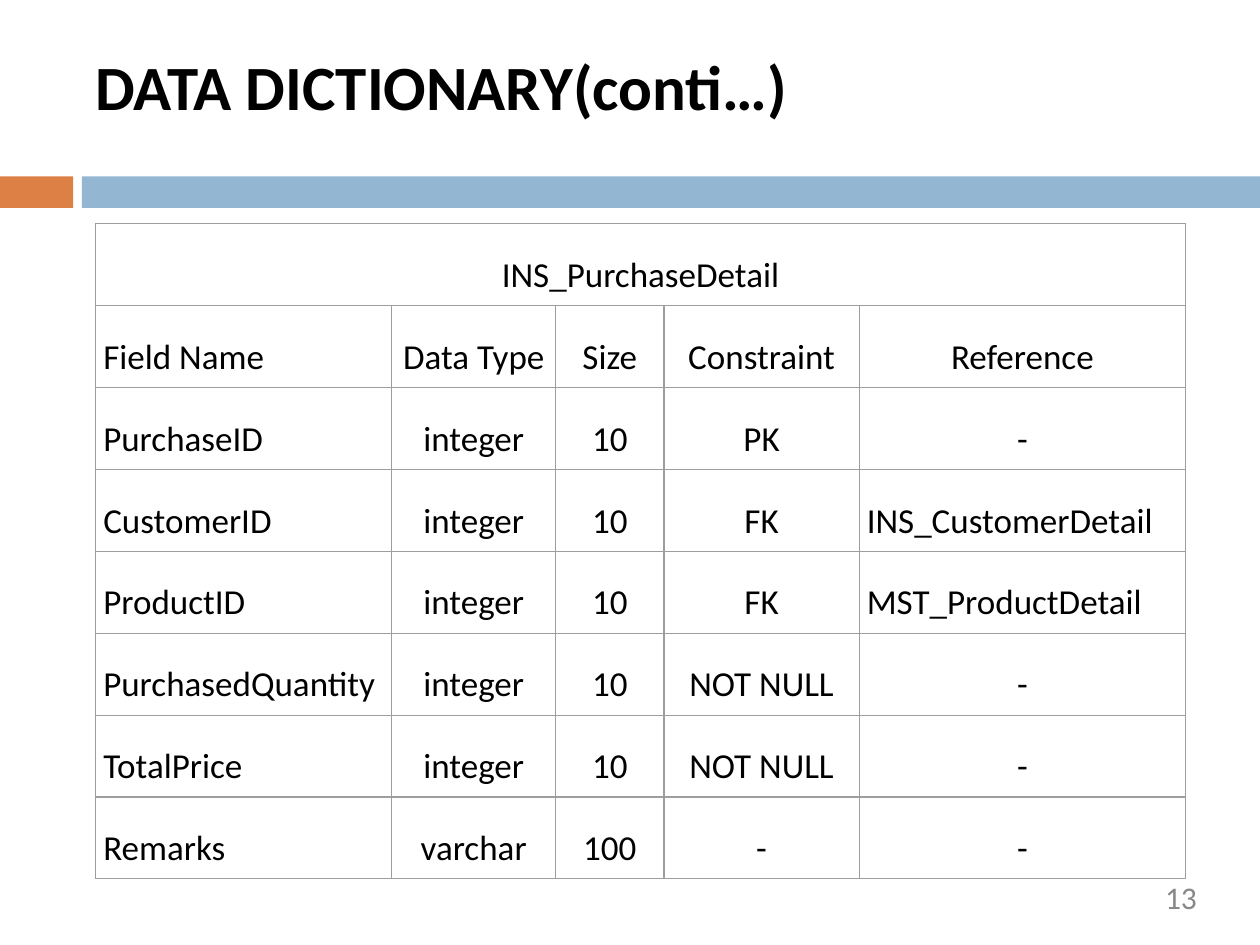
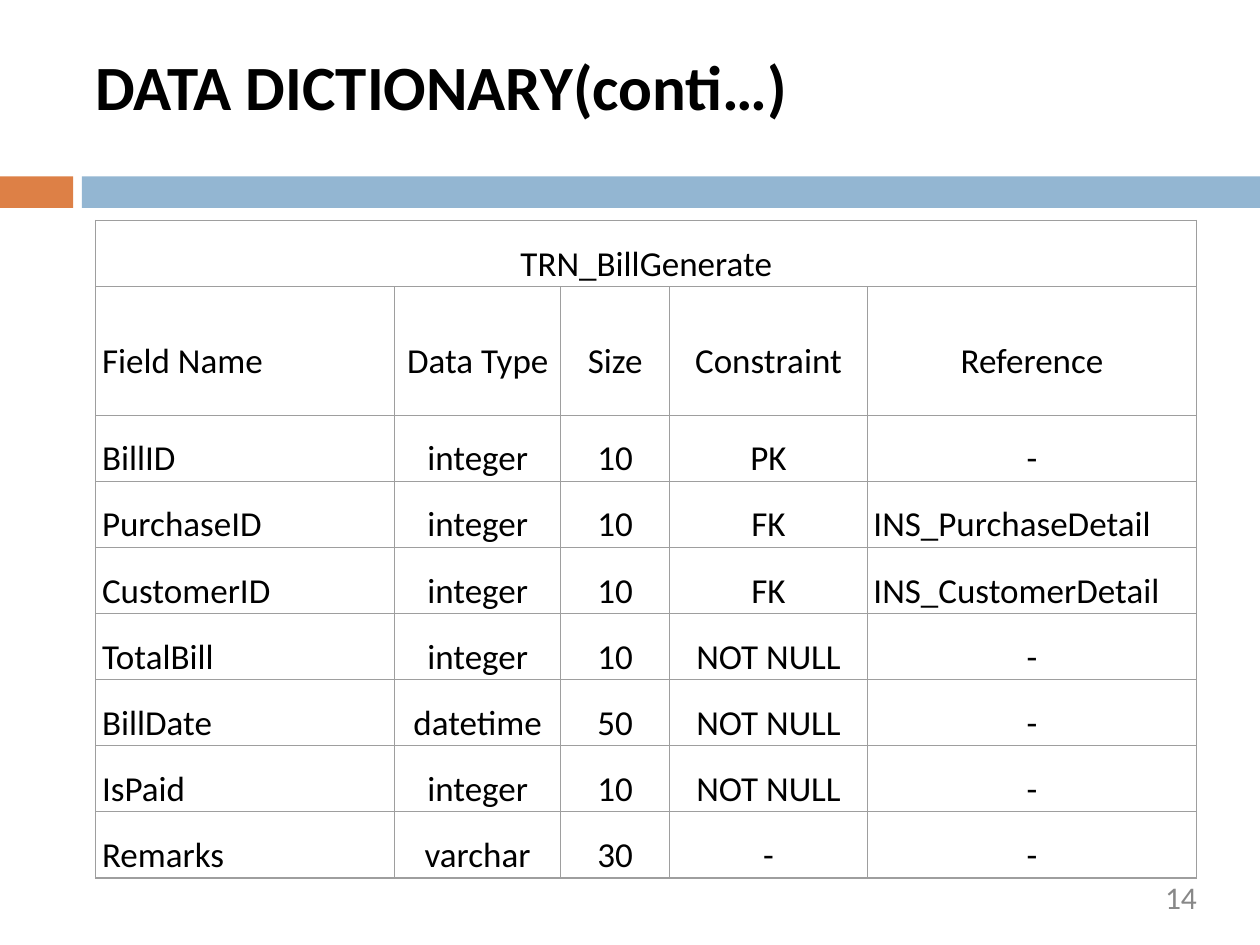
from dataclasses import dataclass

from lxml import etree
from pptx import Presentation
from pptx import util as u
from pptx.dml.color import RGBColor
from pptx.enum import shapes, text
from pptx.oxml import ns

Pt = u.Pt
LEFT = text.PP_ALIGN.LEFT
CENTER = text.PP_ALIGN.CENTER
RIGHT = text.PP_ALIGN.RIGHT


@dataclass(frozen=True)
class Theme:
    font: str = "Calibri"
    ink: str = "000000"
    muted: str = "888888"
    accent: str = "DD8046"
    band: str = "93B6D2"
    grid: str = "9E9E9E"
    title_size: float = 36
    cell_size: float = 20
    number_size: float = 18
    grid_width: float = 0.75
    line_spacing: float = 1.5


THEME = Theme()
SLIDE_W, SLIDE_H = 720, 540
MARGIN = 54.72
BAND_TOP, BAND_H = 100.8, 18
ACCENT_W, BAND_LEFT = 41.76, 46.8
TITLE = "DATA DICTIONARY(conti…)"
HEADERS = ("Field Name", "Data Type", "Size", "Constraint", "Reference")
COLUMN_WEIGHTS = (2.35, 1.3, 0.86, 1.55, 2.59)

PURCHASE_FIELDS = [
    ("PurchaseID", "integer", "10", "PK", "-"),
    ("CustomerID", "integer", "10", "FK", "INS_CustomerDetail"),
    ("ProductID", "integer", "10", "FK", "MST_ProductDetail"),
    ("PurchasedQuantity", "integer", "10", "NOT NULL", "-"),
    ("TotalPrice", "integer", "10", "NOT NULL", "-"),
    ("Remarks", "varchar", "100", "-", "-"),
]
BILL_FIELDS = [
    ("BillID", "integer", "10", "PK", "-"),
    ("PurchaseID", "integer", "10", "FK", "INS_PurchaseDetail"),
    ("CustomerID", "integer", "10", "FK", "INS_CustomerDetail"),
    ("TotalBill", "integer", "10", "NOT NULL", "-"),
    ("BillDate", "datetime", "50", "NOT NULL", "-"),
    ("IsPaid", "integer", "10", "NOT NULL", "-"),
    ("Remarks", "varchar", "30", "-", "-"),
]


def write(tf, words, size, color=THEME.ink, bold=False, align=LEFT):
    p = tf.paragraphs[0]
    p.alignment = align
    r = p.add_run()
    r.text = words
    r.font.name = THEME.font
    r.font.size = Pt(size)
    r.font.bold = bold
    r.font.color.rgb = RGBColor.from_string(color)
    return p


def add_text(s, left, top, width, height, words, size, inset_top=0, **style):
    tf = s.shapes.add_textbox(Pt(left), Pt(top), Pt(width), Pt(height)).text_frame
    tf.word_wrap = True
    tf.margin_left = tf.margin_right = tf.margin_bottom = 0
    tf.margin_top = Pt(inset_top)
    write(tf, words, size, **style)


def add_block(s, left, width, color):
    sp = s.shapes.add_shape(shapes.MSO_SHAPE.RECTANGLE,
                            Pt(left), Pt(BAND_TOP), Pt(width), Pt(BAND_H))
    sp.shadow.inherit = False
    sp.fill.solid()
    sp.fill.fore_color.rgb = RGBColor.from_string(color)
    sp.line.fill.background()


def add_slide(prs, number):
    s = prs.slides.add_slide(prs.slide_layouts[6])
    add_block(s, 0, ACCENT_W, THEME.accent)
    add_block(s, BAND_LEFT, SLIDE_W - BAND_LEFT, THEME.band)
    add_text(s, MARGIN, 26.64, 610, 49.68, TITLE, THEME.title_size,
             inset_top=0.72, bold=True)
    add_text(s, 518.4, 501.84, 165.6, 27.36, str(number), THEME.number_size,
             color=THEME.muted, align=RIGHT)
    return s


def set_borders(cell):
    tc_pr = cell._tc.get_or_add_tcPr()
    for i, side in enumerate(("a:lnL", "a:lnR", "a:lnT", "a:lnB")):
        ln = etree.Element(ns.qn(side), w=str(Pt(THEME.grid_width)))
        fill = etree.SubElement(ln, ns.qn("a:solidFill"))
        etree.SubElement(fill, ns.qn("a:srgbClr"), val=THEME.grid)
        tc_pr.insert(i, ln)


def fill_cell(cell, words, align, inset):
    cell.margin_left = cell.margin_right = Pt(inset)
    cell.margin_top = cell.margin_bottom = 0
    cell.vertical_anchor = text.MSO_ANCHOR.MIDDLE
    p = write(cell.text_frame, words, THEME.cell_size, align=align)
    p.line_spacing = THEME.line_spacing


def add_dictionary(s, name, fields, top, width, row_h, header_h, inset):
    rows = [HEADERS, *fields]
    heights = [row_h, header_h] + [row_h] * len(fields)
    table = s.shapes.add_table(len(heights), len(HEADERS), Pt(MARGIN), Pt(top),
                               Pt(width), Pt(sum(heights))).table
    table.first_row = table.horz_banding = False
    for column, weight in zip(table.columns, COLUMN_WEIGHTS):
        column.width = Pt(width * weight / sum(COLUMN_WEIGHTS))
    for row, height in zip(table.rows, heights):
        row.height = Pt(height)
    for cell in table.iter_cells():
        cell.fill.background()
        set_borders(cell)

    table.cell(0, 0).merge(table.cell(0, len(HEADERS) - 1))
    fill_cell(table.cell(0, 0), name, CENTER, inset)
    for i, row in enumerate(rows, 1):
        for j, words in enumerate(row):
            align = LEFT if j == 0 or "_" in words else CENTER
            fill_cell(table.cell(i, j), words, align, inset)


def main():
    prs = Presentation()
    prs.slide_width, prs.slide_height = Pt(SLIDE_W), Pt(SLIDE_H)
    add_dictionary(add_slide(prs, 13), "INS_PurchaseDetail", PURCHASE_FIELDS,
                   top=127.8, width=622.8, row_h=46.8, header_h=46.8, inset=4.32)
    add_dictionary(add_slide(prs, 14), "TRN_BillGenerate", BILL_FIELDS,
                   top=126, width=629.28, row_h=37.8, header_h=73.44, inset=3.6)
    prs.save("out.pptx")


if __name__ == "__main__":
    main()
